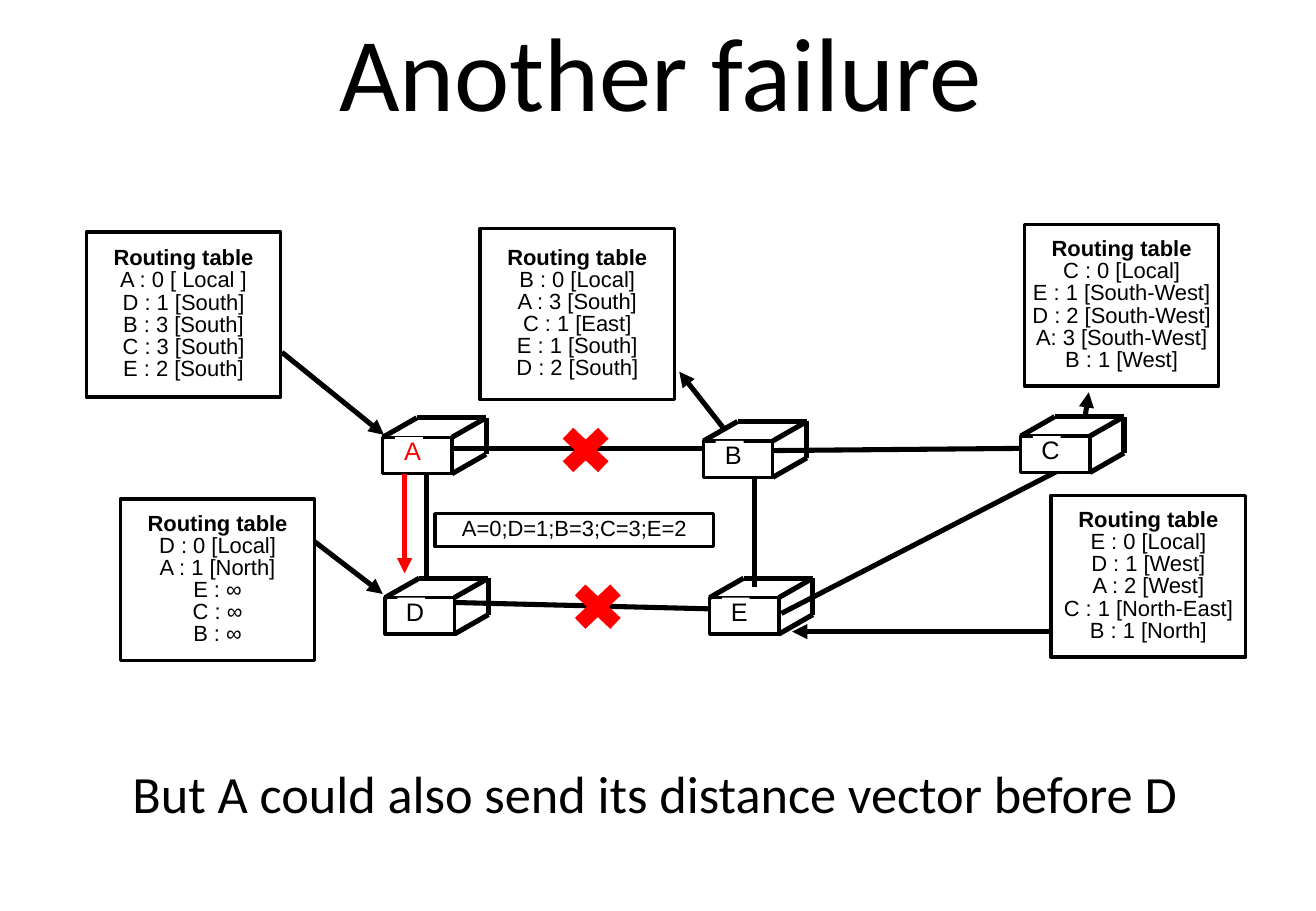
from dataclasses import dataclass
from pptx import Presentation
from pptx.dml.color import RGBColor as RGB
from pptx.enum.shapes import MSO_CONNECTOR as Link, MSO_SHAPE as Shape
from pptx.enum.text import MSO_ANCHOR as Anchor, PP_ALIGN as Align
from pptx.oxml.ns import qn
from pptx.util import Inches, Pt
from lxml.etree import SubElement as sub


@dataclass(frozen=True)
class Theme:
    """Colours, fonts and type sizes."""
    black: RGB = RGB(0, 0, 0)
    white: RGB = RGB(255, 255, 255)
    red: RGB = RGB(255, 0, 0)
    head: str = "Calibri"
    body: str = "Arial"
    title: float = 62
    claim: float = 31
    label: float = 15
    small: float = 13
    edge: float = 2
    wire: float = 3
    space: float = 0.84


def apply(item, form):
    """Set each attribute of the item from a dict."""
    for name, value in form.items():
        setattr(item, name, value)


class Board:
    """Draws the parts of a network on one slide."""

    def __init__(self, slide, theme):
        """Keep the slide and the theme."""
        self.slide, self.theme = slide, theme

    def letter(self, shape, lines, size, font, **more):
        """Fill a shape with styled lines of text."""
        theme = self.theme
        pad, wrap = more.get("pad", 0), more.get("wrap", True)
        frame = shape.text_frame
        apply(frame, dict(word_wrap=wrap, vertical_anchor=Anchor.MIDDLE))
        inset = Inches(pad)
        apply(frame, dict(margin_left=Inches(more.get("left", pad)), margin_right=inset,
                          margin_top=inset, margin_bottom=inset))
        for index, line in enumerate(lines):
            para = frame.add_paragraph() if index else frame.paragraphs[0]
            apply(para, dict(alignment=more.get("align", Align.CENTER),
                             line_spacing=theme.space, space_before=Pt(more.get("before", 0))))
            run = para.add_run()
            run.text = line
            apply(run.font, dict(name=font, size=Pt(size),
                                 bold=bool(more.get("bold")) and index == 0))
            run.font.color.rgb = more.get("color", theme.black)

    def text(self, place, line, size, **more):
        """Add a text box in the heading font."""
        box = self.slide.shapes.add_textbox(*map(Inches, place))
        self.letter(box, [line], size, self.theme.head, pad=0.04, **more)

    def shape(self, kind, place, fill=None, edge=None):
        """Add a flat shape."""
        item = self.slide.shapes.add_shape(kind, *map(Inches, place))
        item.shadow.inherit = False
        if fill is None:
            item.fill.background()
        else:
            item.fill.solid()
            item.fill.fore_color.rgb = fill
        if edge:
            item.line.width = Pt(edge)
            item.line.color.rgb = self.theme.black
        else:
            item.line.fill.background()
        return item

    def line(self, ends, color=None, arrow=False):
        """Add a straight line, with an arrowhead at its end if asked."""
        item = self.slide.shapes.add_connector(Link.STRAIGHT, *map(Inches, ends))
        item.line.width = Pt(self.theme.wire)
        item.line.color.rgb = color or self.theme.black
        props = item._element.spPr
        if arrow:
            sub(props.find(qn("a:ln")), qn("a:tailEnd"), type="triangle")
        sub(props, qn("a:effectLst"))

    def panel(self, place, lines, bold=False):
        """Add an outlined box of centred text."""
        box = self.shape(Shape.RECTANGLE, place, edge=self.theme.edge)
        self.letter(box, lines, self.theme.small, self.theme.body, bold=bold)

    def router(self, name, x, y, color):
        """Add a router drawn as a box with depth."""
        theme = self.theme
        wide, high, deep, rise = 0.57, 0.3, 0.28, 0.16
        self.shape(Shape.RECTANGLE, (x, y, wide, high), theme.white, theme.edge)
        right, back, top, low = x + wide, x + wide + deep, y - rise, y + high
        for ends in ((x, y, x + deep, top), (right, y, back, top),
                     (right, low, back, low - rise), (x + deep, top, back, top),
                     (back, top, back, low - rise)):
            self.line(ends)
        tag = self.shape(Shape.RECTANGLE, (x + 0.1, y, 0.23, 0.26), theme.white)
        self.letter(tag, [name], theme.label, theme.body, left=0.06, wrap=False, color=color)

    def cross(self, x, y):
        """Mark a failed link."""
        self.shape(Shape.MATH_MULTIPLY, (x, y, 0.56, 0.53), self.theme.red)


WIRES = [
    (3.51, 3.89, 3.51, 4.76), (3.73, 4.96, 6.13, 5.02), (3.69, 3.69, 6.1, 3.69),
    (6.21, 3.87, 6.21, 4.83), (6.43, 5.05, 8.7, 3.88), (6.32, 3.71, 8.59, 3.69),
]
ROUTERS = [("A", 3.15, 3.6), ("B", 5.79, 3.63), ("C", 8.4, 3.59),
           ("D", 3.17, 4.92), ("E", 5.84, 4.92)]
TABLES = [
    (0.71, 1.91, 1.36, ["A : 0 [ Local ]", "D : 1 [South]", "B : 3 [South]",
                        "C : 3 [South]", "E : 2 [South]"]),
    (3.95, 1.88, 1.41, ["B : 0 [Local]", "A : 3 [South]", "C : 1 [East]",
                        "E : 1 [South]", "D : 2 [South]"]),
    (8.43, 1.85, 1.33, ["C : 0 [Local]", "E : 1 [South-West]", "D : 2 [South-West]",
                        "A: 3 [South-West]", "B : 1 [West]"]),
    (0.99, 4.11, 1.33, ["D : 0 [Local]", "A : 1 [North]", "E : ∞", "C : ∞", "B : ∞"]),
    (8.65, 4.08, 1.33, ["E : 0 [Local]", "D : 1 [West]", "A : 2 [West]",
                        "C : 1 [North-East]", "B : 1 [North]"]),
]
ARROWS = [
    (2.32, 2.9, 3.16, 3.58), (5.95, 3.52, 5.59, 3.06), (8.93, 3.43, 8.96, 3.23),
    (2.59, 4.46, 3.15, 4.89), (8.67, 5.2, 6.52, 5.2),
]


def main():
    """Build and save the slide."""
    deck = Presentation()
    apply(deck, dict(slide_width=Inches(10.83), slide_height=Inches(7.5)))
    theme = Theme()
    board = Board(deck.slides.add_slide(deck.slide_layouts[6]), theme)
    board.text((1.8, 0, 7.28, 1.32), "Another failure", theme.title)
    board.text((0.76, 5.64, 9.81, 1.86), "But A could also send its distance vector before D",
               theme.claim, left=0.33, align=Align.LEFT, before=17.7)
    for ends in WIRES:
        board.line(ends)
    for name, x, y in ROUTERS:
        board.router(name, x, y, theme.red if name == "A" else theme.black)
    for x, y, high, rows in TABLES:
        board.panel((x, y, 1.6, high), ["Routing table", *rows], bold=True)
    for ends in ARROWS:
        board.line(ends, arrow=True)
    board.panel((3.58, 4.23, 2.29, 0.27), ["A=0;D=1;B=3;C=3;E=2"])
    board.line((3.33, 3.9, 3.33, 4.72), theme.red, arrow=True)
    for x, y in ((4.54, 3.44), (4.64, 4.73)):
        board.cross(x, y)
    deck.save("out.pptx")


if __name__ == "__main__":
    main()
